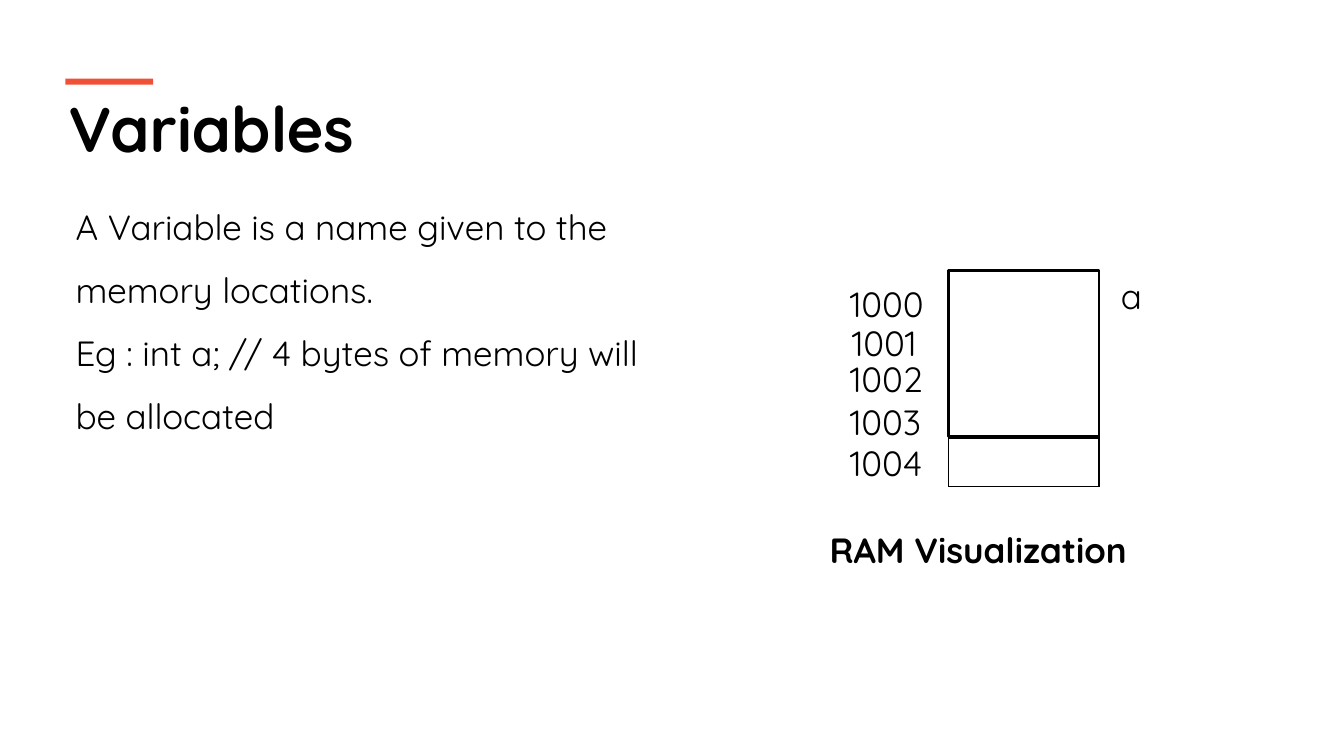
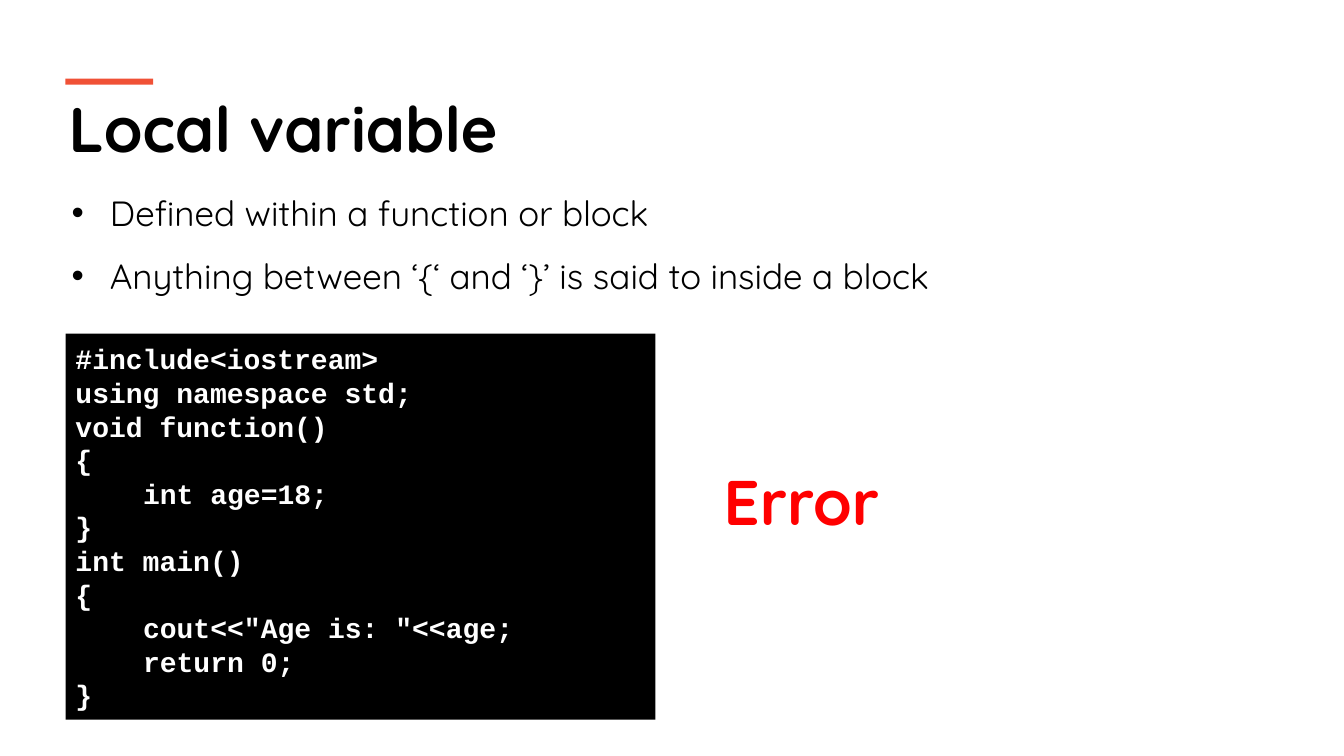
from dataclasses import dataclass

from lxml.etree import SubElement
from pptx import Presentation
from pptx.dml.color import RGBColor
from pptx.enum.shapes import MSO_SHAPE
from pptx.enum.text import MSO_ANCHOR, MSO_AUTO_SIZE, PP_ALIGN
from pptx.oxml.ns import qn
from pptx.util import Inches, Pt

COLORS = {
    "text": "000000",
    "accent": "F05136",
    "paper": "FFFFFF",
    "code": "000000",
    "error": "FF0000",
}
FONT = "Quicksand"
CODE_FONT = "Courier New"
TITLE_SIZE = 45
BODY_SIZE = 25
CODE_SIZE = 20
CODE_INDENT = 0.67
BULLET_INDENT = 0.38


@dataclass(frozen=True)
class Box:
    left: float
    top: float
    width: float
    height: float

    def emu(self) -> tuple:
        return tuple(Inches(v) for v in (self.left, self.top, self.width, self.height))


@dataclass(frozen=True)
class Style:
    size: float = BODY_SIZE
    bold: bool = False
    color: str = "text"
    font: str = FONT


@dataclass(frozen=True)
class Label:
    text: str
    box: Box
    style: Style = Style()


@dataclass(frozen=True)
class CodeLine:
    text: str
    level: int = 0


TITLE_STYLE = Style(TITLE_SIZE, True)
CODE_STYLE = Style(CODE_SIZE, True, "paper", CODE_FONT)

TITLE_BOX = Box(0.58, 0.84, 12.2, 0.86)
ACCENT_BOX = Box(0.65, 0.78, 0.87, 0.06)

RAM_BOX = Box(9.41, 2.68, 1.49, 2.13)
RAM_ROWS = (0.44, 0.41, 0.41, 0.41, 0.48)
INT_BOX = Box(9.41, 2.68, 1.49, 1.65)
LABELS = (
    Label("1000", Box(8.33, 2.75, 1.2, 0.52)),
    Label("1001", Box(8.35, 3.14, 1.2, 0.52)),
    Label("1002", Box(8.33, 3.5, 1.2, 0.52)),
    Label("1003", Box(8.33, 3.92, 1.2, 0.52)),
    Label("1004", Box(8.33, 4.33, 1.2, 0.52)),
    Label("RAM Visualization", Box(8.13, 5.19, 3.15, 0.52), Style(bold=True)),
    Label("a", Box(11.02, 2.67, 0.6, 0.52)),
)
ERROR = Label("Error", Box(7.08, 4.54, 3.17, 0.86), Style(TITLE_SIZE, True, "error"))

CODE_BOX = Box(0.65, 3.31, 5.85, 3.83)
CODE = (
    CodeLine("#include<iostream>"),
    CodeLine("using namespace std;"),
    CodeLine("void function()"),
    CodeLine("{"),
    CodeLine("int age=18;", 1),
    CodeLine("}"),
    CodeLine("int main()"),
    CodeLine("{"),
    CodeLine('cout<<"Age is: "<<age;', 1),
    CodeLine("return 0;", 1),
    CodeLine("}"),
)


def rgb(name: str) -> RGBColor:
    return RGBColor.from_string(COLORS[name])


def add_run(p, text: str, style: Style) -> None:
    r = p.add_run()
    r.text = text
    r.font.name = style.font
    r.font.size = Pt(style.size)
    r.font.bold = style.bold
    r.font.color.rgb = rgb(style.color)


def paragraphs(tf, count: int) -> list:
    return [tf.paragraphs[0]] + [tf.add_paragraph() for _ in range(count - 1)]


def set_indent(p, margin: float, first: float = 0) -> None:
    pPr = p._p.get_or_add_pPr()
    pPr.set("marL", str(Inches(margin)))
    pPr.set("indent", str(Inches(first)))


def place(sp, box: Box) -> None:
    sp.left, sp.top, sp.width, sp.height = box.emu()
    tf = sp.text_frame
    tf.word_wrap = True
    tf.auto_size = MSO_AUTO_SIZE.NONE
    tf.vertical_anchor = MSO_ANCHOR.TOP


def add_rect(s, box: Box, fill: str, line: float = 0):
    sp = s.shapes.add_shape(MSO_SHAPE.RECTANGLE, *box.emu())
    sp.shadow.inherit = False
    sp.fill.solid()
    sp.fill.fore_color.rgb = rgb(fill)
    if line:
        sp.line.color.rgb = rgb("text")
        sp.line.width = Pt(line)
    else:
        sp.line.fill.background()
    return sp


def add_label(s, label: Label) -> None:
    sp = s.shapes.add_textbox(*label.box.emu())
    sp.text_frame.word_wrap = True
    add_run(sp.text_frame.paragraphs[0], label.text, label.style)


def add_slide(prs, title: str, body: Box, lines: tuple, bulleted: bool):
    s = prs.slides.add_slide(prs.slide_layouts[1])
    place(s.shapes.title, TITLE_BOX)
    p = s.shapes.title.text_frame.paragraphs[0]
    p.alignment = PP_ALIGN.LEFT
    add_run(p, title, TITLE_STYLE)

    sp = s.placeholders[1]
    place(sp, body)
    for p, text in zip(paragraphs(sp.text_frame, len(lines)), lines):
        p.line_spacing = 1.5
        p.space_before = Pt(0)
        pPr = p._p.get_or_add_pPr()
        if bulleted:
            set_indent(p, BULLET_INDENT, -BULLET_INDENT)
            SubElement(pPr, qn("a:buFont")).set("typeface", "Arial")
            SubElement(pPr, qn("a:buChar")).set("char", "•")
        else:
            set_indent(p, 0)
            SubElement(pPr, qn("a:buNone"))
        add_run(p, text, Style())
    add_rect(s, ACCENT_BOX, "accent")
    return s


def add_borders(cell) -> None:
    tcPr = cell._tc.get_or_add_tcPr()
    for side in ("lnL", "lnR", "lnT", "lnB"):
        ln = SubElement(tcPr, qn(f"a:{side}"))
        ln.set("w", str(Pt(1)))
        fill = SubElement(ln, qn("a:solidFill"))
        SubElement(fill, qn("a:srgbClr")).set("val", COLORS["text"])


def add_ram_table(s) -> None:
    table = s.shapes.add_table(len(RAM_ROWS), 1, *RAM_BOX.emu()).table
    table.first_row = False
    table.horz_banding = False
    for row, height in zip(table.rows, RAM_ROWS):
        row.height = Inches(height)
        for cell in row.cells:
            add_borders(cell)
            cell.fill.background()


def add_code(s) -> None:
    tf = add_rect(s, CODE_BOX, "code").text_frame
    tf.word_wrap = True
    tf.vertical_anchor = MSO_ANCHOR.MIDDLE
    for p, line in zip(paragraphs(tf, len(CODE)), CODE):
        p.alignment = PP_ALIGN.LEFT
        set_indent(p, line.level * CODE_INDENT)
        add_run(p, line.text, CODE_STYLE)


def build_variables(prs) -> None:
    lines = (
        "A Variable is a name given to the memory locations.",
        "Eg : int a; // 4 bytes of memory will be allocated",
    )
    s = add_slide(prs, "Variables", Box(0.65, 1.78, 6.04, 3.26), lines, False)
    add_ram_table(s)
    add_rect(s, INT_BOX, "paper", 2)
    for label in LABELS:
        add_label(s, label)


def build_local_variable(prs) -> None:
    lines = (
        "Defined within a function or block",
        "Anything between ‘{‘ and ‘}’ is said to inside a block",
    )
    s = add_slide(prs, "Local variable", Box(0.61, 1.64, 12.14, 1.31), lines, True)
    add_code(s)
    add_label(s, ERROR)


def main() -> None:
    prs = Presentation()
    prs.slide_width = Inches(13.33)
    prs.slide_height = Inches(7.5)
    build_variables(prs)
    build_local_variable(prs)
    prs.save("out.pptx")


if __name__ == "__main__":
    main()
